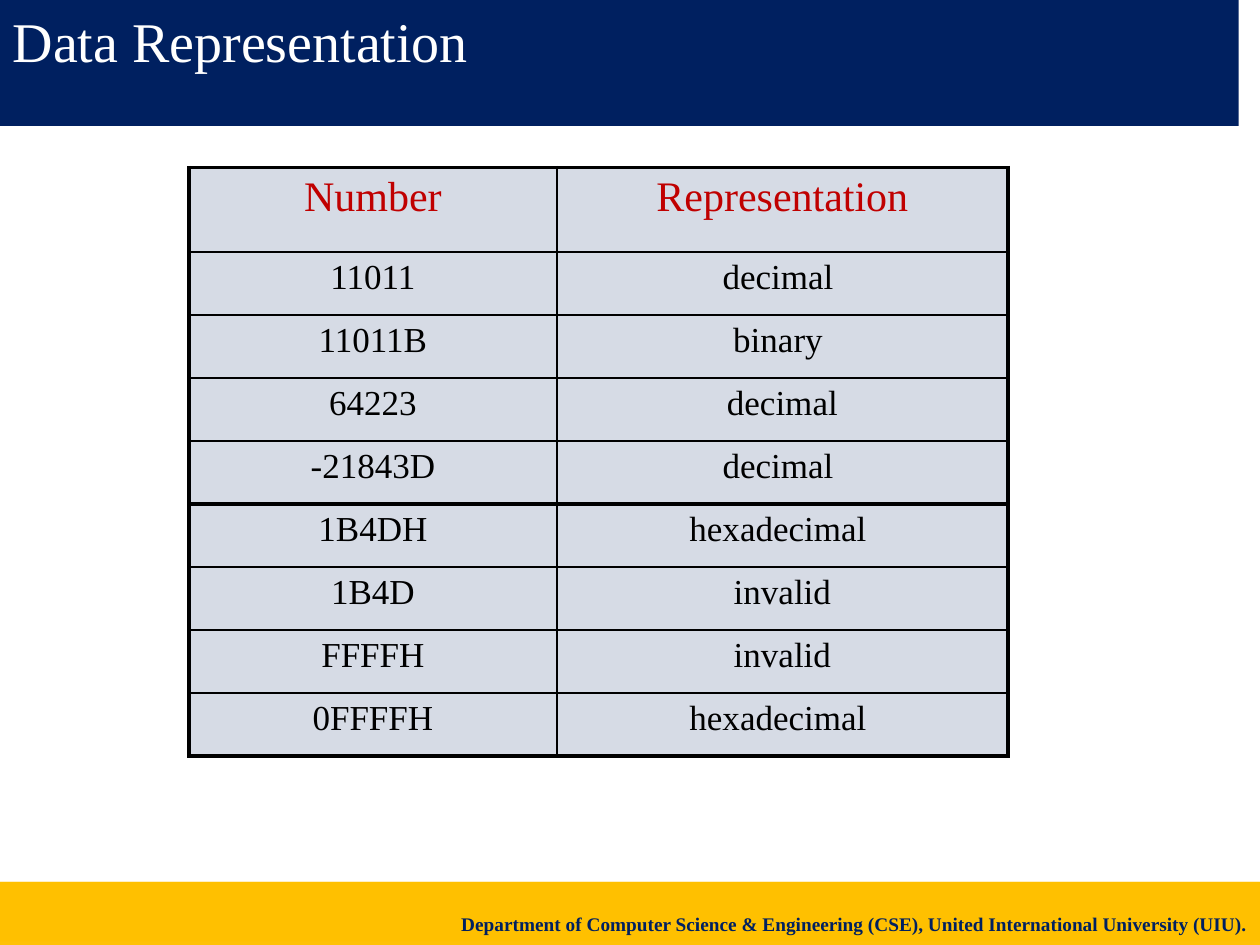
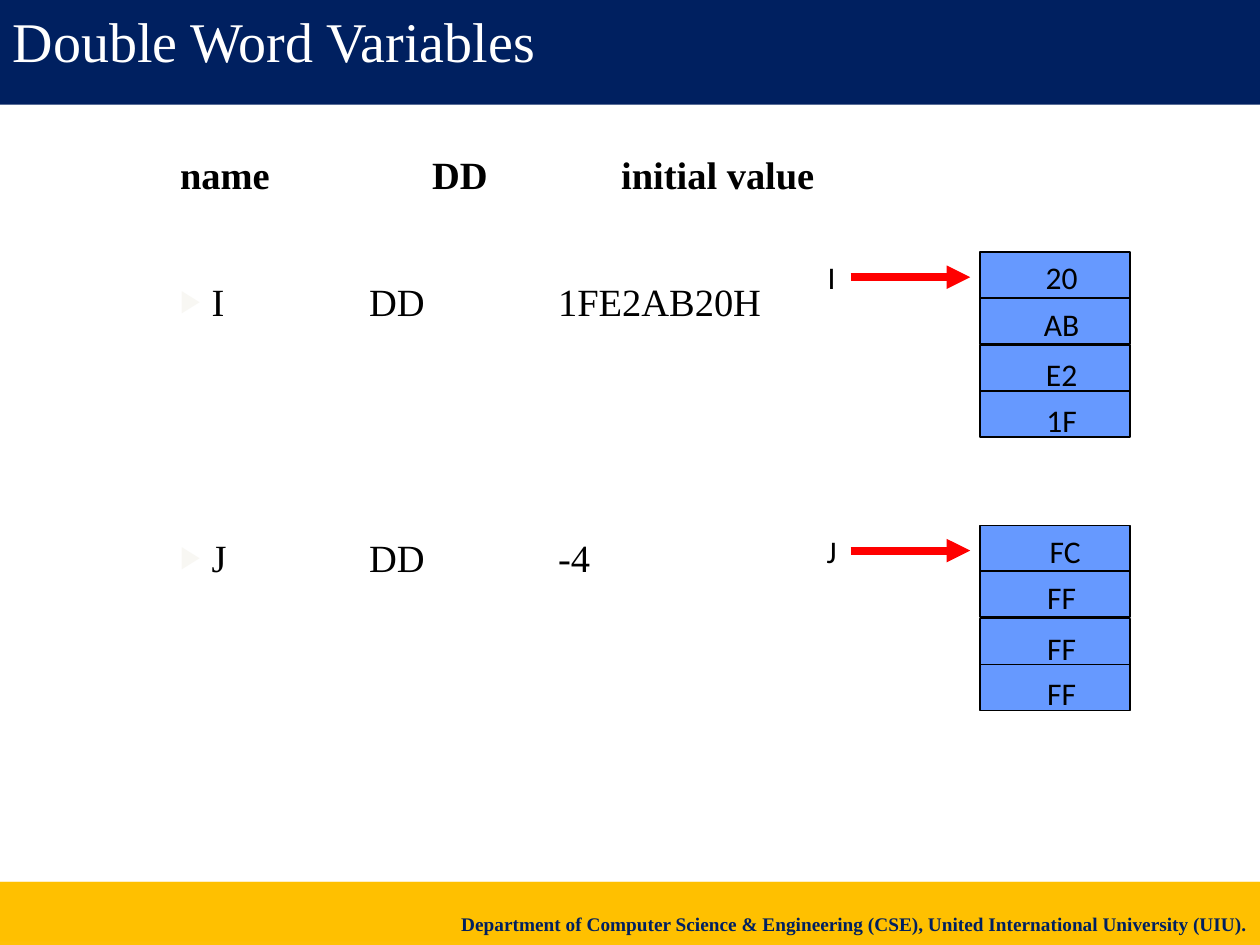
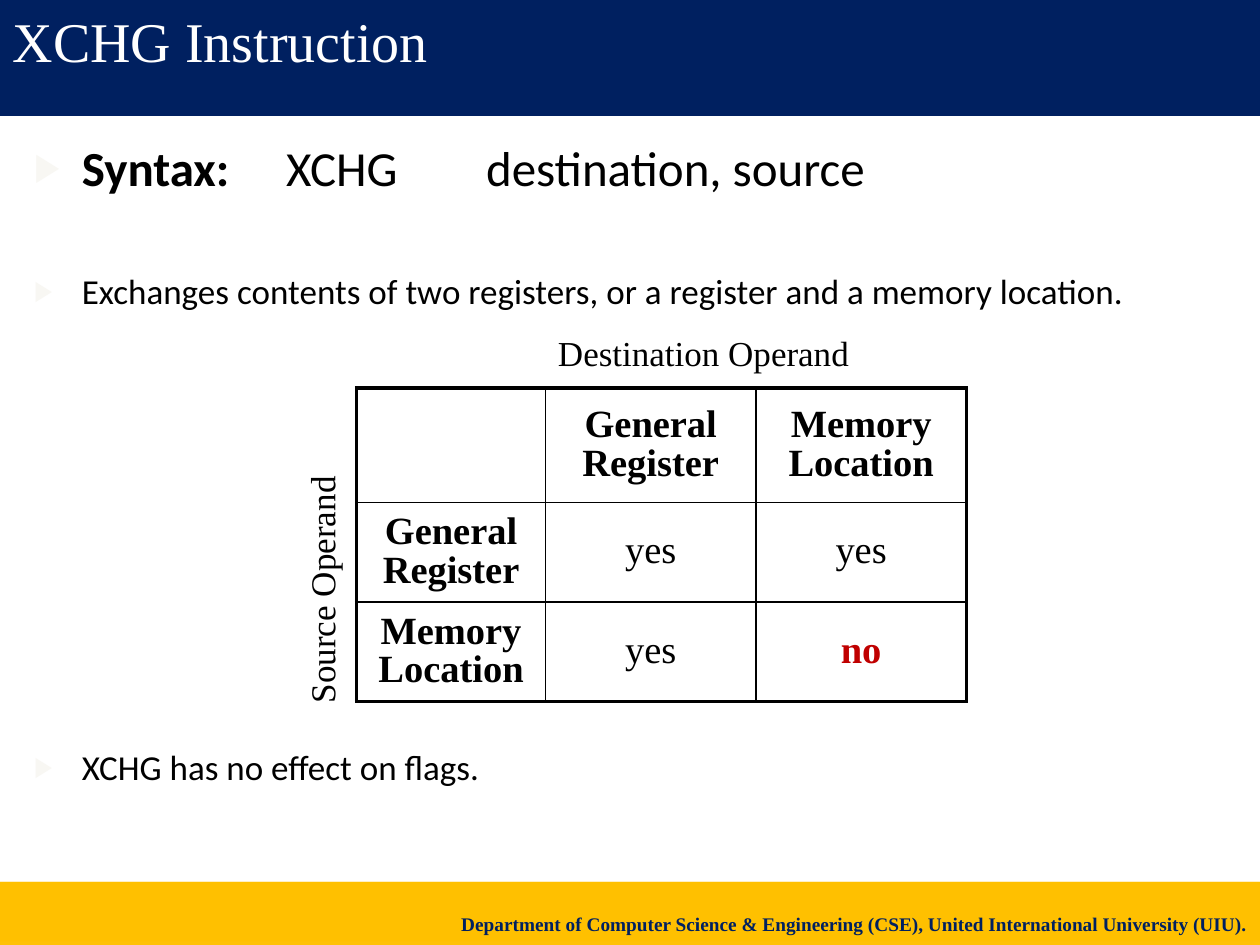
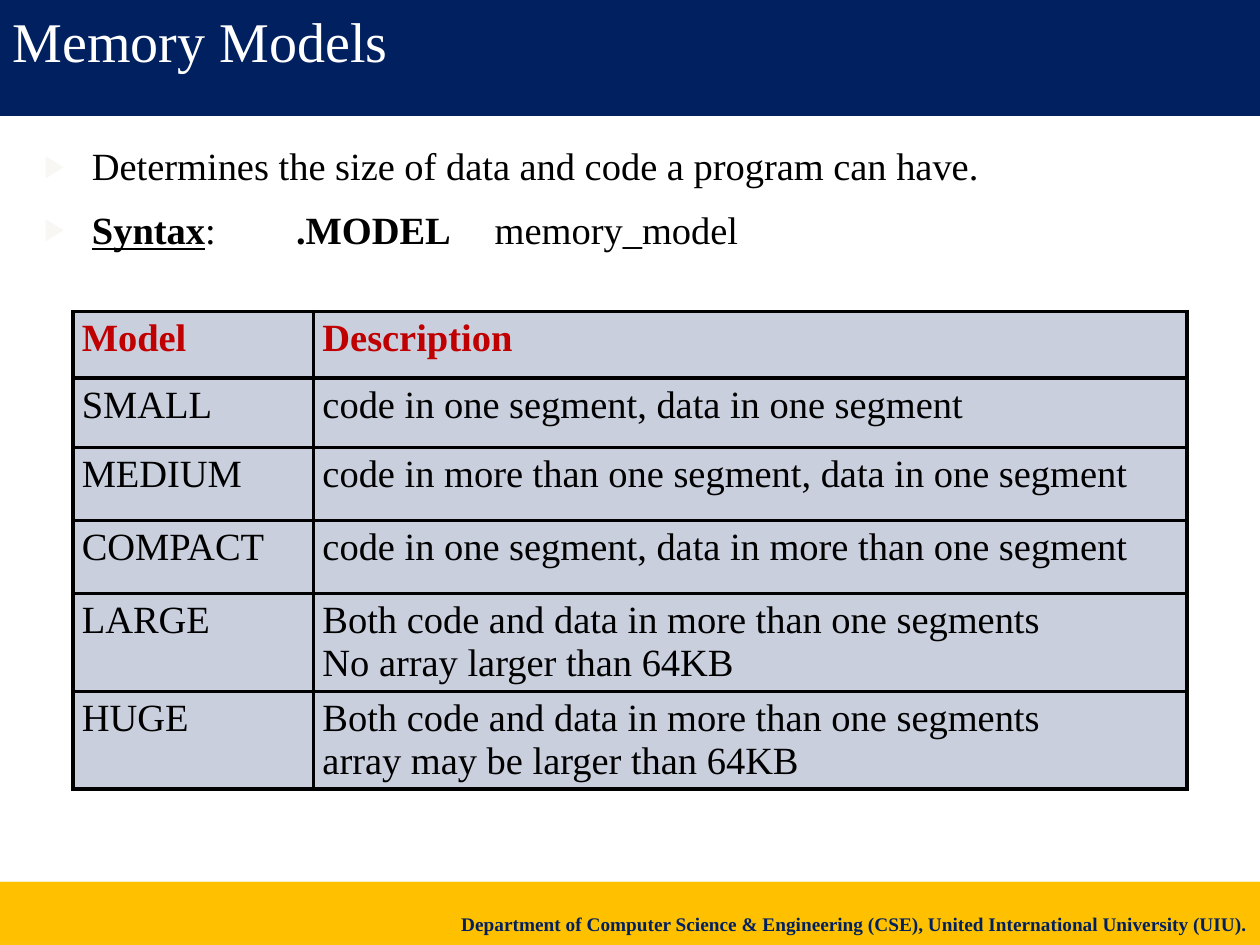
from dataclasses import dataclass

import lxml.etree
import pptx
import pptx.dml.color
import pptx.enum.shapes
import pptx.enum.text
import pptx.oxml
import pptx.oxml.ns
import pptx.util

Inches = pptx.util.Inches
Pt = pptx.util.Pt
Align = pptx.enum.text.PP_ALIGN
Anchor = pptx.enum.text.MSO_ANCHOR
RECTANGLE = pptx.enum.shapes.MSO_SHAPE.RECTANGLE
STRAIGHT = pptx.enum.shapes.MSO_CONNECTOR.STRAIGHT


@dataclass(frozen=True)
class Theme:
    navy: str = "002060"
    gold: str = "FFC000"
    white: str = "FFFFFF"
    black: str = "000000"
    crimson: str = "C00000"
    red: str = "FF0000"
    memory: str = "6699FF"
    bullet: str = "F8F7F3"
    serif: str = "Times New Roman"
    sans: str = "Calibri"
    title: int = 32
    syntax: int = 28
    heading: int = 24
    body: int = 22
    label: int = 20
    byte: int = 18
    footer: int = 11
    thick: float = 2.25
    thin: float = 1


THEME = Theme()
FOOTER = "Department of Computer Science & Engineering (CSE), United International University (UIU)."


@dataclass(frozen=True)
class Item:
    spans: tuple
    size: int = THEME.body
    face: str = THEME.serif
    before: float = 10
    level: int = 0
    margin: float = 0.38
    indent: float = -0.38
    bullet: bool = True
    align: Align = Align.LEFT


def rgb(value):
    return pptx.dml.color.RGBColor.from_string(value)


def add_element(parent, tag, **attributes):
    element = lxml.etree.SubElement(parent, pptx.oxml.ns.qn(tag))
    for name, value in attributes.items():
        element.set(name, str(value))
    return element


def set_fill(fill, color, opacity=100):
    fill.solid()
    fill.fore_color.rgb = rgb(color)
    if opacity < 100:
        tint = fill._xPr.find(".//" + pptx.oxml.ns.qn("a:srgbClr"))
        add_element(tint, "a:alpha", val=opacity * 1000)


def set_font(font, size, face=THEME.serif, color=THEME.black, bold=False):
    font.size = Pt(size)
    font.name = face
    font.color.rgb = rgb(color)
    font.bold = bold


def place(shape, left, top, width, height):
    shape.left, shape.top = Inches(left), Inches(top)
    shape.width, shape.height = Inches(width), Inches(height)


def add_rectangle(shapes, left, top, width, height, color, opacity=100):
    box = shapes.add_shape(RECTANGLE, Inches(left), Inches(top), Inches(width), Inches(height))
    box.shadow.inherit = False
    set_fill(box.fill, color, opacity)
    box.line.fill.background()
    return box


def add_label(page, text, left, top, width, height, size, face, align=Align.CENTER):
    box = page.shapes.add_textbox(Inches(left), Inches(top), Inches(width), Inches(height))
    frame = box.text_frame
    frame.word_wrap = True
    frame.vertical_anchor = Anchor.MIDDLE
    para = frame.paragraphs[0]
    para.text = text
    para.alignment = align
    set_font(para.font, size, face)
    return box


def add_line(page, start, end, color, width, arrow=False):
    line = page.shapes.add_connector(STRAIGHT, *(Inches(value) for value in start + end))
    line.line.color.rgb = rgb(color)
    line.line.width = Pt(width)
    if arrow:
        add_element(line.line._get_or_add_ln(), "a:tailEnd", type="triangle")
    add_element(line._element.spPr, "a:effectLst")
    return line


def add_footer(page):
    band = page.shapes.add_group_shape()
    add_rectangle(band.shapes, 0, 7, 10, 0.5, THEME.gold, 98)
    box = add_rectangle(band.shapes, 0, 7, 10, 0.47, THEME.gold, 98)
    box.text_frame.vertical_anchor = Anchor.BOTTOM
    para = box.text_frame.paragraphs[0]
    para.text = FOOTER
    para.alignment = Align.RIGHT
    set_font(para.font, THEME.footer, color=THEME.navy, bold=True)


def add_page(deck, title, width, height, layout="Title and Content"):
    page = deck.slides.add_slide(deck.slide_layouts.get_by_name(layout))
    box = page.shapes.title
    place(box, 0, 0, width, height)
    set_fill(box.fill, THEME.navy)
    frame = box.text_frame
    frame.text = title
    frame.vertical_anchor = Anchor.TOP
    frame.auto_size = pptx.enum.text.MSO_AUTO_SIZE.NONE
    para = frame.paragraphs[0]
    para.alignment = Align.LEFT
    set_font(para.font, THEME.title, color=THEME.white)
    add_footer(page)
    return page


def fill_item(para, item):
    para.level = item.level
    properties = para._p.get_or_add_pPr()
    properties.set("marL", str(Inches(item.margin)))
    properties.set("indent", str(Inches(item.indent)))
    if item.bullet:
        add_element(add_element(properties, "a:buClr"), "a:srgbClr", val=THEME.bullet)
        add_element(properties, "a:buSzPct", val=80000)
        add_element(properties, "a:buChar", char="▶")
    else:
        add_element(properties, "a:buNone")
    para.space_before = Pt(item.before)
    para.alignment = item.align
    set_font(para.font, item.size, item.face)
    for text, style in item.spans:
        span = para.add_run()
        span.text = text
        if "b" in style:
            span.font.bold = True
        if "u" in style:
            span.font.underline = True


def fill_body(page, left, top, width, height, items):
    body = page.placeholders[1]
    place(body, left, top, width, height)
    frame = body.text_frame
    frame.auto_size = pptx.enum.text.MSO_AUTO_SIZE.NONE
    for index, item in enumerate(items):
        fill_item(frame.add_paragraph() if index else frame.paragraphs[0], item)


def set_borders(cell, widths):
    properties = cell._tc.get_or_add_tcPr()
    for position, (side, width) in enumerate(zip("LRTB", widths)):
        line = pptx.oxml.parse_xml(
            f'<a:ln{side} {pptx.oxml.ns.nsdecls("a")} w="{Pt(width)}"><a:solidFill>'
            f'<a:srgbClr val="{THEME.black}"/></a:solidFill></a:ln{side}>'
        )
        properties.insert(position, line)


def add_grid(page, left, top, columns, heights, rows, style, opacity=0,
             inner=THEME.thin, anchor=Anchor.TOP, align=Align.CENTER, spacing=1):
    frame = page.shapes.add_table(
        len(rows), len(columns), Inches(left), Inches(top),
        Inches(sum(columns)), Inches(sum(heights)))
    table = frame.table
    table.first_row = table.horz_banding = False
    for column, width in zip(table.columns, columns):
        column.width = Inches(width)
    for row, height in zip(table.rows, heights):
        row.height = Inches(height)
    last_row, last_column = len(rows) - 1, len(columns) - 1
    for r, texts in enumerate(rows):
        for c, text in enumerate(texts):
            cell = table.cell(r, c)
            cell.margin_left = cell.margin_right = Inches(0.07)
            cell.margin_top = cell.margin_bottom = Inches(0.05)
            cell.vertical_anchor = anchor
            if opacity:
                set_fill(cell.fill, THEME.navy, opacity)
            else:
                cell.fill.background()
            edges = (c == 0, c == last_column, r == 0, r == last_row)
            set_borders(cell, [THEME.thick if edge else inner for edge in edges])
            cell.text_frame.text = text
            size, color, bold = style(r, c, text)
            for para in cell.text_frame.paragraphs:
                para.alignment = align
                para.line_spacing = spacing
                set_font(para.font, size, color=color, bold=bold)


def add_memory(page, name, values, top):
    left, width, height = 7.78, 1.19, 0.73
    for half in range(2):
        box = add_rectangle(page.shapes, left, top + 0.74 * half, width, height, THEME.memory)
        box.line.color.rgb = rgb(THEME.black)
        box.line.width = Pt(THEME.thin)
        middle = top + 0.74 * half + height / 2
        divider = add_line(page, (left, middle), (left + width, middle), THEME.black, THEME.thin)
        divider.begin_connect(box, 1)
        divider.end_connect(box, 3)
    for value, offset in zip(values, (0, 0.37, 0.77, 1.13)):
        add_label(page, value, 8.1, top + offset, 0.65, 0.4, THEME.byte, THEME.sans)
    add_line(page, (6.75, top + 0.2), (7.7, top + 0.2), THEME.red, 4.5, arrow=True)
    add_label(page, name, 6.46, top, 0.28, 0.4, THEME.byte, THEME.sans)


def build_representation(deck):
    page = add_page(deck, "Data Representation", 9.83, 1, "Title Only")
    numbers = [
        ("Number", "Representation"),
        ("11011", "decimal "),
        ("11011B", "binary "),
        ("64223", "decimal"),
        ("-21843D", "decimal "),
    ]
    more_numbers = [
        ("1B4DH", "hexadecimal "),
        ("1B4D", "invalid"),
        ("FFFFH", "invalid"),
        ("0FFFFH", "hexadecimal "),
    ]

    def style(row, column, text):
        if text in numbers[0]:
            return THEME.heading, THEME.crimson, False
        return THEME.label, THEME.black, False

    columns = [2.92, 3.58]
    add_grid(page, 1.5, 1.33, columns, [0.67] + [0.5] * 4, numbers, style, 16)
    add_grid(page, 1.5, 4, columns, [0.5] * 4, more_numbers, style, 16)


def build_double_word(deck):
    page = add_page(deck, "Double Word Variables", 10.09, 0.83)
    variable = dict(level=2, margin=1.25, indent=-0.25)
    fill_body(page, 0.33, 1.15, 9.08, 5.25, [
        Item((("\t", ""), ("name\t\t\tDD\t\t\tinitial value", "b")),
             level=1, margin=0.5, indent=0, bullet=False),
        Item((("I \t\t\tDD \t\t1FE2AB20H", ""),), before=46, **variable),
        Item((("J \t\t\tDD \t\t-4", ""),), before=120, **variable),
    ])
    add_memory(page, "I", ("20", "AB", "E2", "1F"), 2)
    add_memory(page, "J", (" FC", "FF", "FF", "FF"), 4.17)


def build_exchange(deck):
    page = add_page(deck, "XCHG Instruction", 10, 0.92)
    fill_body(page, 0.17, 1.04, 9.08, 5.63, [
        Item((("Syntax: \t", "b"), ("XCHG \t\t destination, source", "")),
             THEME.syntax, THEME.sans),
        Item((("Exchanges contents of two registers, or a register and a memory location.", ""),),
             THEME.label, THEME.sans, before=42),
        Item((("XCHG has no effect on flags.", ""),), THEME.label, THEME.sans, before=248),
    ])
    operands = ("General Register", "Memory Location")
    rows = [("",) + operands, (operands[0], "yes", "yes"), (operands[1], "yes", "no")]

    def style(row, column, text):
        return THEME.body, THEME.crimson if text == "no" else THEME.black, text != "yes"

    add_grid(page, 2.83, 3.08, [1.5, 1.67, 1.67], [0.91, 0.79, 0.79], rows, style,
             anchor=Anchor.MIDDLE, spacing=0.9)
    add_label(page, "Destination Operand", 4.33, 2.58, 3.42, 0.44,
              THEME.label, THEME.serif, Align.LEFT)
    source = add_label(page, "Source Operand", 1.54, 4.45, 2.02, 0.44,
                       THEME.label, THEME.serif, Align.LEFT)
    source.text_frame.word_wrap = False
    source.rotation = 270


def build_models(deck):
    page = add_page(deck, "Memory Models", 10, 0.92)
    fill_body(page, 0.25, 1.08, 8.96, 1.33, [
        Item((("Determines the size of data and code a program can have.", ""),),
             align=Align.JUSTIFY),
        Item((("Syntax", "bu"), (": \t\t", ""), (".MODEL\t ", "b"), ("memory_model", "")),
             align=Align.JUSTIFY),
    ])
    rows = [
        ("Model", "Description"),
        ("SMALL", "code in one segment, data in one segment"),
        ("MEDIUM", "code in more than one segment, data in one segment"),
        ("COMPACT", "code in one segment, data in more than one segment"),
        ("LARGE", "Both code and data in more than one segments\nNo array larger than 64KB"),
        ("HUGE", "Both code and data in more than one segments\narray may be larger than 64KB"),
    ]

    def style(row, column, text):
        return THEME.body, THEME.black if row else THEME.crimson, row == 0

    add_grid(page, 0.58, 2.47, [1.91, 6.93], [0.53, 0.55, 0.58, 0.58, 0.75, 0.59], rows, style,
             21, inner=THEME.thick, align=Align.LEFT)


def main():
    deck = pptx.Presentation()
    deck.slide_width, deck.slide_height = Inches(10), Inches(7.5)
    build_representation(deck)
    build_double_word(deck)
    build_exchange(deck)
    build_models(deck)
    deck.save("out.pptx")


if __name__ == "__main__":
    main()
